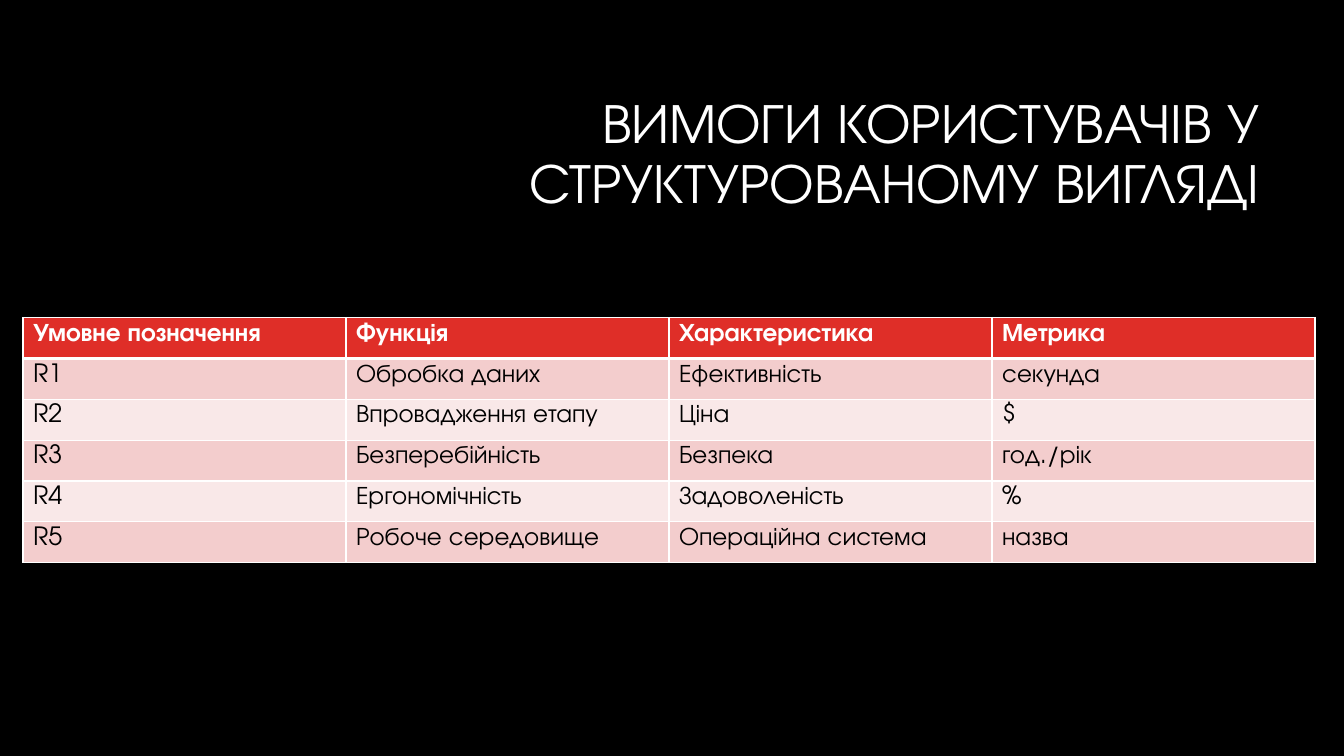
from dataclasses import dataclass

from lxml.etree import SubElement
from pptx import Presentation
from pptx.dml.color import RGBColor as RGB
from pptx.enum.text import MSO_ANCHOR as Anchor, PP_ALIGN as Align
from pptx.oxml.ns import qn
from pptx.slide import Slide
from pptx.table import _Cell as Cell
from pptx.text.text import TextFrame
from pptx.util import Cm, Pt


@dataclass(frozen=True)
class Theme:
    font: str = "TeX Gyre Adventor"
    title_size: int = 40
    table_size: int = 18
    background: str = "000000"
    light: str = "FFFFFF"
    dark: str = "000000"
    header: str = "DF2E28"
    bands: tuple[str, str] = ("F3CDCD", "F9E8E8")
    border: float = 1
    header_rule: float = 3


@dataclass(frozen=True)
class Requirement:
    code: str
    feature: str
    quality: str
    metric: str

    def values(self) -> tuple[str, ...]:
        return self.code, self.feature, self.quality, self.metric


THEME = Theme()
TITLE = "ВИМОГИ КОРИСТУВАЧІВ У СТРУКТУРОВАНОМУ ВИГЛЯДІ"
HEADER = Requirement("Умовне позначення", "Функція", "Характеристика", "Метрика")
REQUIREMENTS = [
    Requirement("R1", "Обробка даних", "Ефективність", "секунда"),
    Requirement("R2", "Впровадження етапу", "Ціна", "$"),
    Requirement("R3", "Безперебійність", "Безпека", "год./рік"),
    Requirement("R4", "Ергономічність", "Задоволеність", "%"),
    Requirement("R5", "Робоче середовище", "Операційна система", "назва"),
]
COLUMN_WIDTH = Cm(8.14)
ROW_HEIGHT = Cm(1.03)


def write(tf: TextFrame, text: str, *, size: float, color: str, bold: bool = False,
          align: Align = Align.LEFT, spacing: float = 1.0) -> None:
    p = tf.paragraphs[0]
    p.alignment = align
    p.line_spacing = spacing
    r = p.add_run()
    r.text = text
    r.font.name = THEME.font
    r.font.size = Pt(size)
    r.font.bold = bold
    r.font.color.rgb = RGB.from_string(color)


def set_borders(cell: Cell, top: float, bottom: float) -> None:
    """Outline a cell; call before filling it, as lines precede the fill in the XML."""
    props = cell._tc.get_or_add_tcPr()
    widths = {"L": THEME.border, "R": THEME.border, "T": top, "B": bottom}
    for side, width in widths.items():
        line = SubElement(props, qn(f"a:ln{side}"), w=str(Pt(width)))
        fill = SubElement(line, qn("a:solidFill"))
        SubElement(fill, qn("a:srgbClr"), val=THEME.light)


def add_title(s: Slide) -> None:
    tf = s.shapes.add_textbox(Cm(8.05), Cm(2.13), Cm(23.93), Cm(3.58)).text_frame
    tf.word_wrap = True
    tf.vertical_anchor = Anchor.MIDDLE
    write(tf, TITLE, size=THEME.title_size, color=THEME.light,
          align=Align.RIGHT, spacing=0.9)


def add_requirements_table(s: Slide) -> None:
    rows = [HEADER, *REQUIREMENTS]
    columns = len(HEADER.values())
    table = s.shapes.add_table(len(rows), columns, Cm(0.58), Cm(8),
                               COLUMN_WIDTH * columns, ROW_HEIGHT * len(rows)).table
    for column in table.columns:
        column.width = COLUMN_WIDTH
    for i, requirement in enumerate(rows):
        table.rows[i].height = ROW_HEIGHT
        is_header = i == 0
        fill = THEME.header if is_header else THEME.bands[(i - 1) % 2]
        for j, text in enumerate(requirement.values()):
            cell = table.cell(i, j)
            set_borders(cell, top=THEME.header_rule if i == 1 else THEME.border,
                        bottom=THEME.header_rule if is_header else THEME.border)
            cell.fill.solid()
            cell.fill.fore_color.rgb = RGB.from_string(fill)
            write(cell.text_frame, text, size=THEME.table_size, bold=is_header,
                  color=THEME.light if is_header else THEME.dark)


def main() -> None:
    prs = Presentation()
    prs.slide_width, prs.slide_height = Cm(33.87), Cm(19.05)
    s = prs.slides.add_slide(prs.slide_layouts[6])
    s.background.fill.solid()
    s.background.fill.fore_color.rgb = RGB.from_string(THEME.background)
    add_title(s)
    add_requirements_table(s)
    prs.save("out.pptx")


if __name__ == "__main__":
    main()
